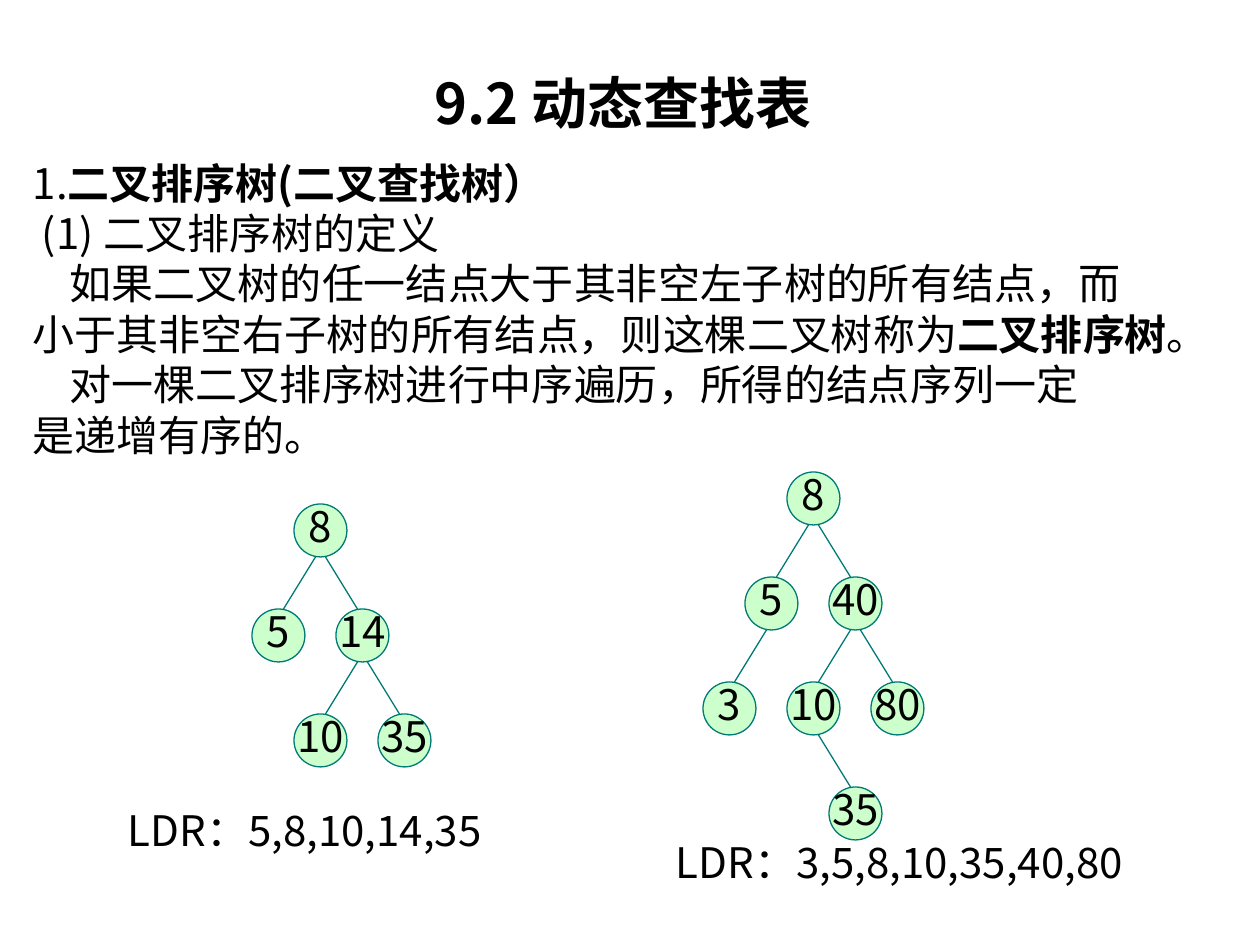
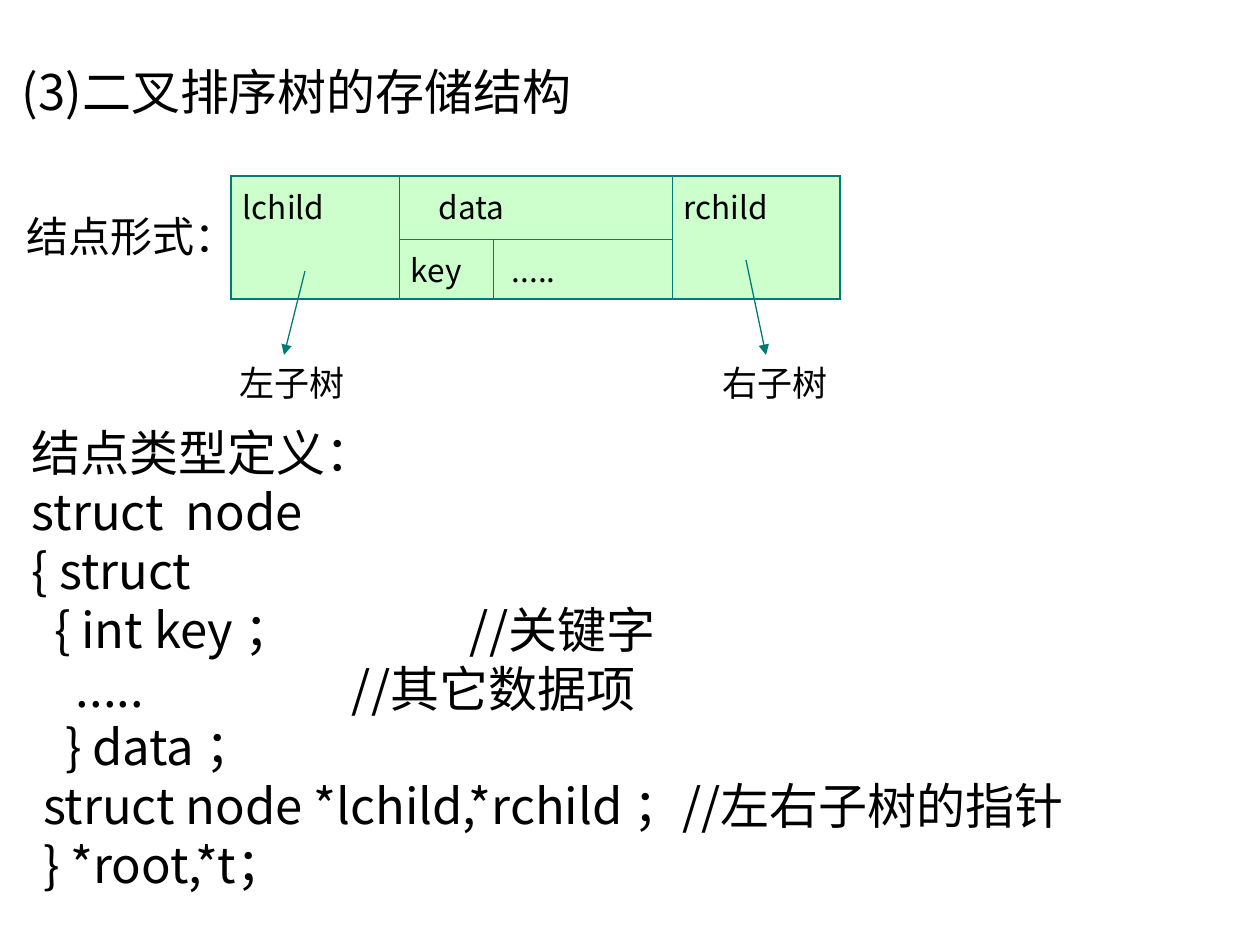
from dataclasses import dataclass

from lxml.etree import SubElement
from pptx import Presentation
from pptx.dml.color import RGBColor
from pptx.enum.shapes import MSO_CONNECTOR, MSO_SHAPE
from pptx.enum.text import MSO_ANCHOR, PP_ALIGN
from pptx.oxml import parse_xml
from pptx.oxml.ns import nsdecls, qn
from pptx.util import Emu, Pt

EMU_PER_PX = 914400 / 126


@dataclass(frozen=True)
class Theme:
    """Colours, font and sizes shared by the slides."""
    font: str = "Noto Sans CJK SC"
    ink: str = "000000"
    paper: str = "FFFFFF"
    mint: str = "CCFFCC"
    teal: str = "007A77"
    title: int = 32
    heading: int = 28
    body: int = 24
    label: int = 20
    cell: int = 18
    leading: float = 1.2
    line: float = 0.75
    outer_border: float = 1.08
    inner_border: float = 0.45
    inset_x: int = 12
    inset_top: int = 7
    inset_bottom: int = 6
    cell_inset_top: int = 15


THEME = Theme()


def px(length):
    """Turn pixels into EMU."""
    return Emu(round(length * EMU_PER_PX))


def colour(value):
    """Turn a hex string into a colour."""
    return RGBColor.from_string(value)


def set_insets(target, top):
    """Set the inner margins of a text frame or a table cell."""
    target.margin_left = target.margin_right = px(THEME.inset_x)
    target.margin_top = px(top)
    target.margin_bottom = px(THEME.inset_bottom)


def write_text(paragraph, text, size=THEME.body, bold=None, align=PP_ALIGN.LEFT,
               indent=0, leading=None, after=0):
    """Write text into a paragraph, setting the part named by bold in bold type."""
    paragraph.alignment = align
    paragraph.line_spacing = leading or Pt(size * THEME.leading)
    paragraph.space_before = Pt(0)
    paragraph.space_after = Pt(after)
    properties = paragraph._p.get_or_add_pPr()
    properties.set("marL", "0")
    properties.set("indent", str(px(indent)))
    SubElement(properties, qn("a:buNone"))
    for part in text.partition(bold) if bold else [text]:
        if part:
            run = paragraph.add_run()
            run.text = part
            run.font.size = Pt(size)
            run.font.bold = part == bold
            run.font.color.rgb = colour(THEME.ink)
            run.font.name = THEME.font
            SubElement(run._r.get_or_add_rPr(), qn("a:ea"), typeface=THEME.font)


def add_text(slide, box, lines, wrap=True, **common):
    """Add a text box whose lines are pairs of text and format."""
    frame = slide.shapes.add_textbox(*map(px, box)).text_frame
    frame.word_wrap = wrap
    set_insets(frame, THEME.inset_top)
    for number, (text, options) in enumerate(lines):
        paragraph = frame.add_paragraph() if number else frame.paragraphs[0]
        write_text(paragraph, text, **{**common, **options})


def add_label(slide, box, text, size=THEME.body):
    """Add a single line that does not wrap."""
    add_text(slide, box, [(text, {})], wrap=False, size=size)


def add_line(slide, start, end, arrow=False):
    """Add a straight teal line, with an arrowhead if asked."""
    connector = slide.shapes.add_connector(
        MSO_CONNECTOR.STRAIGHT, *map(px, (*start, *end)))
    connector.line.color.rgb = colour(THEME.teal)
    connector.line.width = Pt(THEME.line)
    if arrow:
        SubElement(connector.line._get_or_add_ln(), qn("a:tailEnd"), type="triangle")
    SubElement(connector._element.spPr, qn("a:effectLst"))


def add_node(slide, left, top, diameter, key):
    """Add one round tree node."""
    node = slide.shapes.add_shape(
        MSO_SHAPE.OVAL, *map(px, (left, top, diameter, diameter)))
    node.shadow.inherit = False
    node.fill.solid()
    node.fill.fore_color.rgb = colour(THEME.mint)
    node.line.color.rgb = colour(THEME.teal)
    node.line.width = Pt(THEME.line)
    frame = node.text_frame
    frame.word_wrap = False
    frame.vertical_anchor = MSO_ANCHOR.MIDDLE
    write_text(frame.paragraphs[0], str(key), align=PP_ALIGN.CENTER, leading=0.8)


def add_tree(slide, left, top, nodes):
    """Draw a tree from a map of key to column, level and parent key."""
    diameter, column_step, level_step, slant = 53, 42, 105, 5
    places = {key: (left + column * column_step, top + level * level_step)
              for key, (column, level, _) in nodes.items()}
    for key, (x, y) in places.items():
        add_node(slide, x, y, diameter, key)
    for key, (_, _, parent) in nodes.items():
        if parent is not None:
            x, y = places[key]
            parent_x, parent_y = places[parent]
            shift = slant if x > parent_x else -slant
            add_line(slide, (parent_x + diameter / 2 + shift, parent_y + diameter),
                     (x + diameter / 2 - shift, y))


def set_borders(cell, widths):
    """Give a cell teal borders, widths in the order left, right, top, bottom."""
    properties = cell._tc.get_or_add_tcPr()
    for position, (side, width) in enumerate(zip("LRTB", widths)):
        properties.insert(position, parse_xml(
            f'<a:ln{side} {nsdecls("a")} w="{Pt(width)}"><a:solidFill>'
            f'<a:srgbClr val="{THEME.teal}"/></a:solidFill></a:ln{side}>'))


def add_node_table(slide, left, top):
    """Draw the fields of a tree node as a table with merged cells."""
    columns, rows = (168, 94, 179, 168), (63, 60)
    fields = [("lchild", 0, 0, 2, 1, 0), ("data", 0, 1, 1, 2, 28),
              ("rchild", 0, 3, 2, 1, 0), ("key", 1, 1, 1, 1, 0),
              (".....", 1, 2, 1, 1, 7)]
    table = slide.shapes.add_table(
        len(rows), len(columns),
        *map(px, (left, top, sum(columns), sum(rows)))).table
    table.first_row = table.horz_banding = False
    for column, width in zip(table.columns, columns):
        column.width = px(width)
    for row, height in zip(table.rows, rows):
        row.height = px(height)
    for text, row, column, height, width, indent in fields:
        bottom, right = row + height, column + width
        outer = (column == 0, right == len(columns), row == 0, bottom == len(rows))
        widths = [THEME.outer_border if edge else THEME.inner_border for edge in outer]
        origin = table.cell(row, column)
        if height * width > 1:
            origin.merge(table.cell(bottom - 1, right - 1))
        for y in range(row, bottom):
            for x in range(column, right):
                cell = table.cell(y, x)
                cell.fill.solid()
                cell.fill.fore_color.rgb = colour(THEME.mint)
                set_borders(cell, widths)
        set_insets(origin, THEME.cell_inset_top)
        write_text(origin.text_frame.paragraphs[0], text,
                   size=THEME.cell, indent=indent)


def add_blank_slide(presentation):
    """Add a blank slide with a plain background."""
    slide = presentation.slides.add_slide(presentation.slide_layouts[6])
    slide.background.fill.solid()
    slide.background.fill.fore_color.rgb = colour(THEME.paper)
    return slide


def build_definition_slide(presentation):
    """Define the binary search tree and show two examples."""
    slide = add_blank_slide(presentation)
    title = "9.2 动态查找表"
    topic = "二叉排序树(二叉查找树）"
    justified = {"align": PP_ALIGN.JUSTIFY}
    opening = {**justified, "indent": 37}
    add_text(slide, (21, 62, 1205, 431), [
        (title, {"size": THEME.title, "bold": title,
                 "align": PP_ALIGN.CENTER, "after": 12}),
        ("1." + topic, {"bold": topic}),
        ("(1) 二叉排序树的定义", {"indent": 9}),
        ("如果二叉树的任一结点大于其非空左子树的所有结点，而", opening),
        ("小于其非空右子树的所有结点，则这棵二叉树称为二叉排序树。",
         {**justified, "bold": "二叉排序树"}),
        ("对一棵二叉排序树进行中序遍历，所得的结点序列一定", opening),
        ("是递增有序的。", justified),
    ])
    add_tree(slide, 252, 504, {
        8: (1, 0, None), 5: (0, 1, 8), 14: (2, 1, 8),
        10: (1, 2, 14), 35: (3, 2, 14)})
    add_tree(slide, 703, 472, {
        8: (2, 0, None), 5: (1, 1, 8), 40: (3, 1, 8), 3: (0, 2, 5),
        10: (2, 2, 40), 80: (4, 2, 40), 35: (3, 3, 10)})
    add_label(slide, (116, 798, 403, 63), "LDR：5,8,10,14,35")
    add_label(slide, (664, 830, 498, 63), "LDR：3,5,8,10,35,40,80")


def add_struct_code(slide, left, top, width, height):
    """Write the type definition, indented by depth, with comments beside it."""
    step, line_height = 11, 59
    code = [
        (2, "结点类型定义："),
        (2, "struct  node"),
        (2, "{ struct"),
        (4, "{ int key ；"),
        (6, "....."),
        (5, "} data ；"),
        (3, "struct node *lchild,*rchild ；//左右子树的指针"),
        (3, "} *root,*t；"),
    ]
    comments = [(3, 460, 240, "//关键字"), (4, 342, 340, "//其它数据项")]
    add_text(slide, (left, top, width, height),
             [(text, {"indent": depth * step}) for depth, text in code],
             size=THEME.heading)
    for row, offset, comment_width, text in comments:
        add_text(slide, (left + offset, top + row * line_height, comment_width, 73),
                 [(text, {})], size=THEME.heading)


def build_storage_slide(presentation):
    """Show how a tree node is stored and declared."""
    slide = add_blank_slide(presentation)
    add_text(slide, (10, 55, 669, 73), [("(3)二叉排序树的存储结构", {})],
             size=THEME.heading)
    add_node_table(slide, 231, 176)
    add_line(slide, (305, 271), (284, 355), arrow=True)
    add_line(slide, (746, 260), (766, 355), arrow=True)
    for left, text in ((227, "左子树"), (710, "右子树")):
        add_label(slide, (left, 355, 134, 55), text, size=THEME.label)
    add_struct_code(slide, -2, 416, 1228, 484)
    add_label(slide, (15, 204, 234, 63), "结点形式：")


def main():
    """Build and save the presentation."""
    presentation = Presentation()
    presentation.slide_width, presentation.slide_height = px(1260), px(945)
    build_definition_slide(presentation)
    build_storage_slide(presentation)
    presentation.save("out.pptx")


if __name__ == "__main__":
    main()
